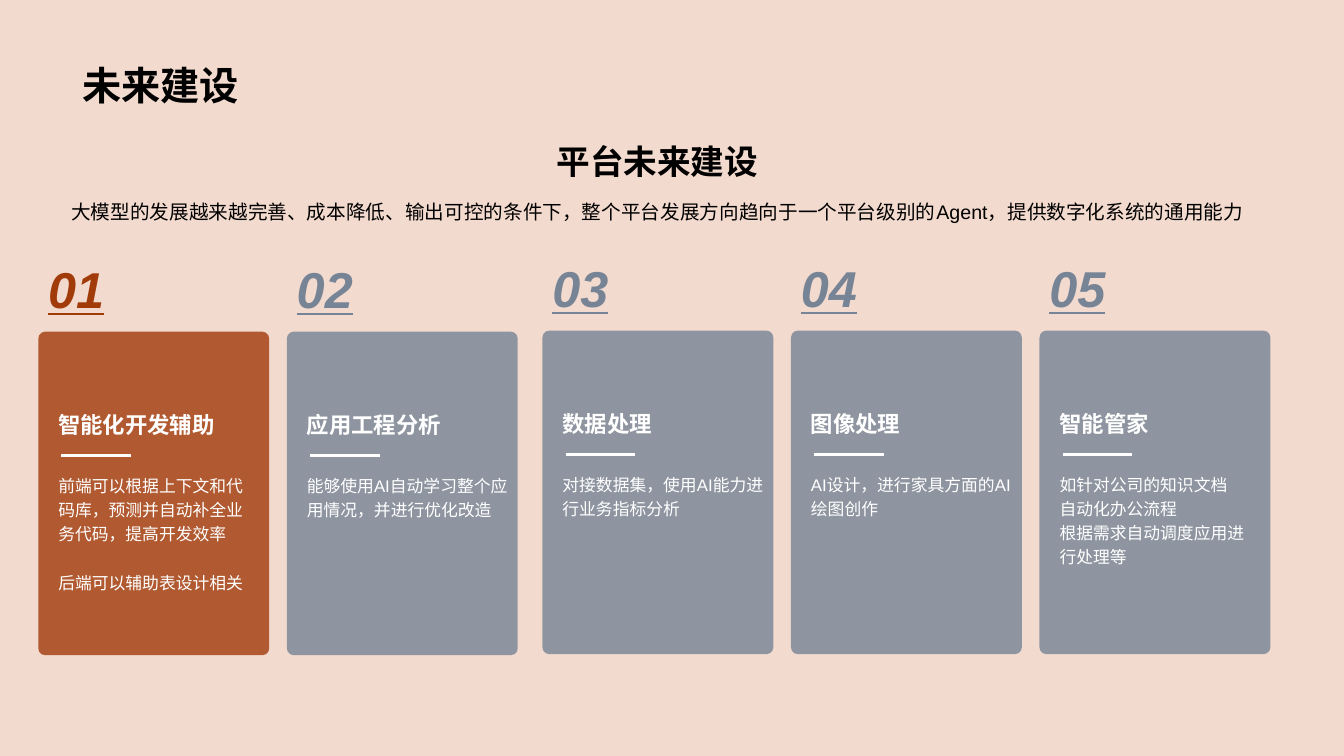
"""Build the platform roadmap slide with five numbered cards."""
from dataclasses import dataclass

from lxml.etree import SubElement
from pptx import Presentation
from pptx.dml.color import RGBColor
from pptx.enum.lang import MSO_LANGUAGE_ID as LANG
from pptx.enum.shapes import MSO_CONNECTOR as CONN, MSO_SHAPE as SHAPE
from pptx.enum.text import MSO_ANCHOR as ANCHOR, PP_ALIGN as ALIGN
from pptx.oxml.ns import qn
from pptx.util import Inches, Pt

COLORS = {"bg": "FDEDE5", "rust": "A13B0A", "slate": "778495", "black": "000000", "white": "FFFFFF"}
FONT = "Arial"
CARD_W, CARD_H, PITCH = 2.29, 3.21, 2.465


@dataclass(frozen=True)
class TextStyle:
    size: float
    color: str
    bold: bool = False
    emphasis: bool = False
    align: ALIGN = ALIGN.LEFT
    anchor: ANCHOR = ANCHOR.TOP
    wrap: bool = True
    spacing: float = 1.0
    gap: float = 0


@dataclass(frozen=True)
class Card:
    heading: str
    lines: tuple[str, ...]
    color: str = "slate"
    gap: float = 0


@dataclass(frozen=True)
class CardGroup:
    left: float
    top: float
    cards: tuple[Card, ...]


GROUPS = (
    CardGroup(0.38, 3.29, (
        Card("智能化开发辅助",
             ("前端可以根据上下文和代码库，预测并自动补全业务代码，提高开发效率", "后端可以辅助表设计相关"),
             "rust", 17.25),
        Card("应用工程分析", ("能够使用AI自动学习整个应用情况，并进行优化改造",)),
    )),
    CardGroup(5.38, 3.28, (
        Card("数据处理", ("对接数据集，使用AI能力进行业务指标分析",)),
        Card("图像处理", ("AI设计，进行家具方面的AI绘图创作",)),
        Card("智能管家", ("如针对公司的知识文档", "自动化办公流程", "根据需求自动调度应用进行处理等")),
    )),
)


def rgb(name: str) -> RGBColor:
    """Return the named colour."""
    return RGBColor.from_string(COLORS[name])


def add_text(s, box: tuple[float, ...], lines: tuple[str, ...], style: TextStyle) -> None:
    """Add a text box with one paragraph per line."""
    tf = s.shapes.add_textbox(*map(Inches, box)).text_frame
    tf.word_wrap = style.wrap
    tf.vertical_anchor = style.anchor
    for i, line in enumerate(lines):
        p = tf.add_paragraph() if i else tf.paragraphs[0]
        p.alignment = style.align
        p.line_spacing = style.spacing
        if i and style.gap:
            p.space_before = Pt(style.gap)
        r = p.add_run()
        r.text = line
        font = r.font
        font.name, font.size, font.bold = FONT, Pt(style.size), style.bold
        font.italic = font.underline = style.emphasis
        font.color.rgb = rgb(style.color)
        font.language_id = LANG.SIMPLIFIED_CHINESE
        SubElement(r._r.get_or_add_rPr(), qn("a:ea"), typeface=FONT)


def add_panel(s, kind: SHAPE, box: tuple[float, ...], color: str, opacity: int):
    """Add a borderless, partly transparent shape."""
    sp = s.shapes.add_shape(kind, *map(Inches, box))
    sp.shadow.inherit = False
    sp.line.fill.background()
    sp.fill.solid()
    sp.fill.fore_color.rgb = rgb(color)
    clr = sp._element.spPr.find(qn("a:solidFill"))[0]
    SubElement(clr, qn("a:alpha"), val=str(opacity * 1000))
    return sp


def add_rule(s, left: float, top: float, width: float) -> None:
    """Add a white horizontal rule."""
    cxn = s.shapes.add_connector(CONN.STRAIGHT, *map(Inches, (left, top, left + width, top)))
    cxn.line.color.rgb = rgb("white")
    cxn.line.width = Pt(2)
    SubElement(cxn._element.spPr, qn("a:effectLst"))


def add_card(s, number: int, card: Card, left: float, top: float) -> None:
    """Add a numbered card."""
    sp = add_panel(s, SHAPE.ROUNDED_RECTANGLE, (left, top, CARD_W, CARD_H), card.color, 80)
    sp.adjustments[0] = 0.03
    add_text(s, (left, top - 0.79, 0.77, 0.72), (f"{number:02}",),
             TextStyle(36, card.color, bold=True, emphasis=True, anchor=ANCHOR.MIDDLE, wrap=False))
    add_text(s, (left + 0.1, top + 0.6, 2.09, 0.5), (card.heading,),
             TextStyle(16, "white", bold=True, anchor=ANCHOR.BOTTOM))
    add_text(s, (left + 0.1, top + 1.34, 2.19, 1.29), card.lines,
             TextStyle(12, "white", spacing=1.2, gap=card.gap))
    add_rule(s, left + 0.23, top + 1.23, 0.69)


def main() -> None:
    """Build and save the slide."""
    prs = Presentation()
    prs.slide_width, prs.slide_height = Inches(13.33), Inches(7.5)
    s = prs.slides.add_slide(prs.slide_layouts[6])
    s.background.fill.solid()
    s.background.fill.fore_color.rgb = rgb("bg")
    add_panel(s, SHAPE.RECTANGLE, (0, 0, 13.33, 7.5), "rust", 10)

    add_text(s, (0.72, 0, 11.88, 1.12), ("未来建设",),
             TextStyle(28, "black", bold=True, anchor=ANCHOR.BOTTOM))
    add_text(s, (0.44, 1.35, 12.16, 0.5), ("平台未来建设",),
             TextStyle(24, "black", bold=True, align=ALIGN.CENTER, anchor=ANCHOR.BOTTOM))
    add_text(s, (0.44, 1.89, 12.16, 0.36),
             ("大模型的发展越来越完善、成本降低、输出可控的条件下，整个平台发展方向趋向于一个平台级别的Agent，提供数字化系统的通用能力",),
             TextStyle(14, "black", align=ALIGN.CENTER, spacing=1.2))

    number = 1
    for group in GROUPS:
        for i, card in enumerate(group.cards):
            add_card(s, number, card, group.left + i * PITCH, group.top)
            number += 1
    prs.save("out.pptx")


if __name__ == "__main__":
    main()
